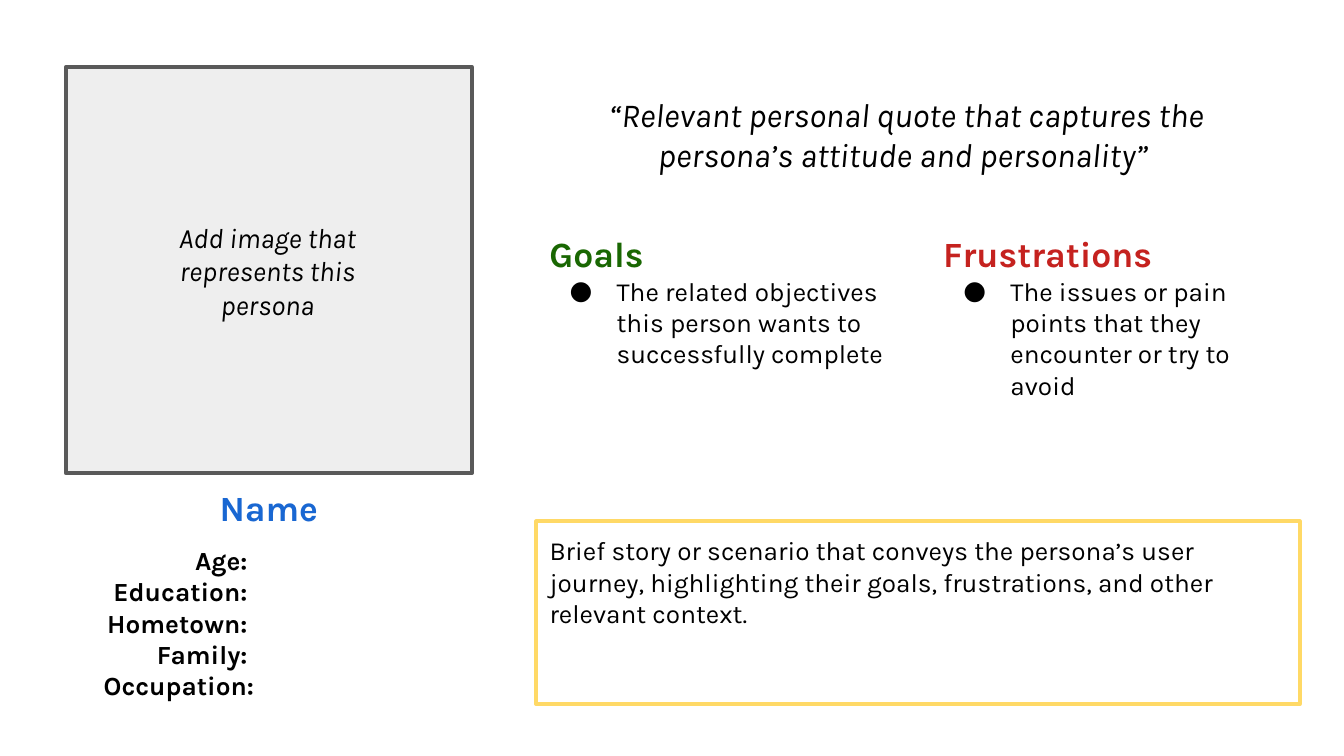
from pptx import Presentation
from pptx.dml.color import RGBColor
from pptx.enum.shapes import MSO_SHAPE as Shape
from pptx.enum.text import MSO_ANCHOR as Anchor, PP_ALIGN as Align
from pptx.oxml.ns import qn
from pptx.util import Inches, Pt
from lxml import etree

FONT = "Karla"
BLACK = RGBColor(0x00, 0x00, 0x00)
GRAY = RGBColor(0xEE, 0xEE, 0xEE)
DARK_GRAY = RGBColor(0x59, 0x59, 0x59)
BLUE = RGBColor(0x19, 0x67, 0xD2)
GREEN = RGBColor(0x19, 0x67, 0x02)
RED = RGBColor(0xC5, 0x22, 0x1F)
YELLOW = RGBColor(0xFF, 0xD9, 0x66)


def style(para, size, color=BLACK, bold=False, italic=False, align=Align.LEFT):
    para.alignment = align
    for span in para.runs:
        font = span.font
        font.name, font.size, font.bold, font.italic = FONT, Pt(size), bold, italic
        font.color.rgb = color


def set_frame(shape, text, anchor=Anchor.TOP):
    frame = shape.text_frame
    frame.word_wrap = True
    frame.vertical_anchor = anchor
    frame.margin_left = frame.margin_right = Inches(0.1)
    frame.margin_top = frame.margin_bottom = Inches(0.1)
    frame.text = text
    return frame.paragraphs


def add_text(page, box, text, anchor=Anchor.TOP, **look):
    shape = page.shapes.add_textbox(*map(Inches, box))
    paras = set_frame(shape, text, anchor)
    for para in paras:
        style(para, **look)
    return paras


def add_frame(page, box, line, fill=None):
    shape = page.shapes.add_shape(Shape.RECTANGLE, *map(Inches, box))
    shape.shadow.inherit = False
    shape.line.color.rgb = line
    shape.line.width = Pt(2.25)
    if fill is None:
        shape.fill.background()
    else:
        shape.fill.solid()
        shape.fill.fore_color.rgb = fill
    return shape


def add_bullet(para, size):
    props = para._p.get_or_add_pPr()
    props.set("marL", str(Inches(0.5)))
    props.set("indent", str(Inches(-0.35)))
    color = etree.SubElement(props, qn("a:buClr"))
    etree.SubElement(color, qn("a:srgbClr"), val=str(BLACK))
    etree.SubElement(props, qn("a:buSzPts"), val=str(size * 100))
    etree.SubElement(props, qn("a:buFont"), typeface=FONT)
    etree.SubElement(props, qn("a:buChar"), char="●")


def add_portrait(page, left, top, side):
    add_frame(page, (left, top, side, side), DARK_GRAY, GRAY)
    add_text(page, (left + 0.59, top + 1.08, 1.82, 0.87),
             "Add image that represents this persona", Anchor.MIDDLE,
             size=15, italic=True, align=Align.CENTER)


def add_profile(page, left, top, width):
    add_text(page, (left, top, width, 0.52), "Name",
             size=19, color=BLUE, bold=True, align=Align.CENTER)
    labels = "Age: \nEducation: \nHometown: \nFamily: \nOccupation:"
    add_text(page, (left - 0.14, top + 0.43, 1.64, 1.33), labels,
             size=14, bold=True, align=Align.RIGHT)


def add_list(page, box, heading, color, item):
    title, point = add_text(page, box, f"{heading} \n{item}", size=14)
    style(title, 19, color, bold=True)
    add_bullet(point, 14)


def add_story(page, box, text):
    shape = add_frame(page, box, YELLOW)
    for para in set_frame(shape, text):
        style(para, 14)


deck = Presentation()
deck.slide_width = Inches(10)
deck.slide_height = deck.slide_width * 9 // 16
page = deck.slides.add_slide(deck.slide_layouts[6])

LEFT, TOP, SIDE, RIGHT = 0.49, 0.5, 3.02, 3.99
add_portrait(page, LEFT, TOP, SIDE)
add_profile(page, LEFT, TOP + SIDE, SIDE)
add_text(page, (RIGHT, TOP, 5.51, 0.99),
         "“Relevant personal quote that captures the persona’s attitude and personality” ",
         Anchor.MIDDLE, size=18, italic=True, align=Align.CENTER)
lists = [
    ("Goals", GREEN, "The related objectives this person wants to successfully complete "),
    ("Frustrations", RED, "The issues or pain points that they encounter or try to avoid"),
]
for index, (heading, color, item) in enumerate(lists):
    add_list(page, (RIGHT + index * 2.93, 1.63, 2.76, 2.11), heading, color, item)
add_story(page, (RIGHT, 3.88, 5.68, 1.36),
          "Brief story or scenario that conveys the persona’s user journey, "
          "highlighting their goals, frustrations, and other relevant context. ")

deck.save("out.pptx")
